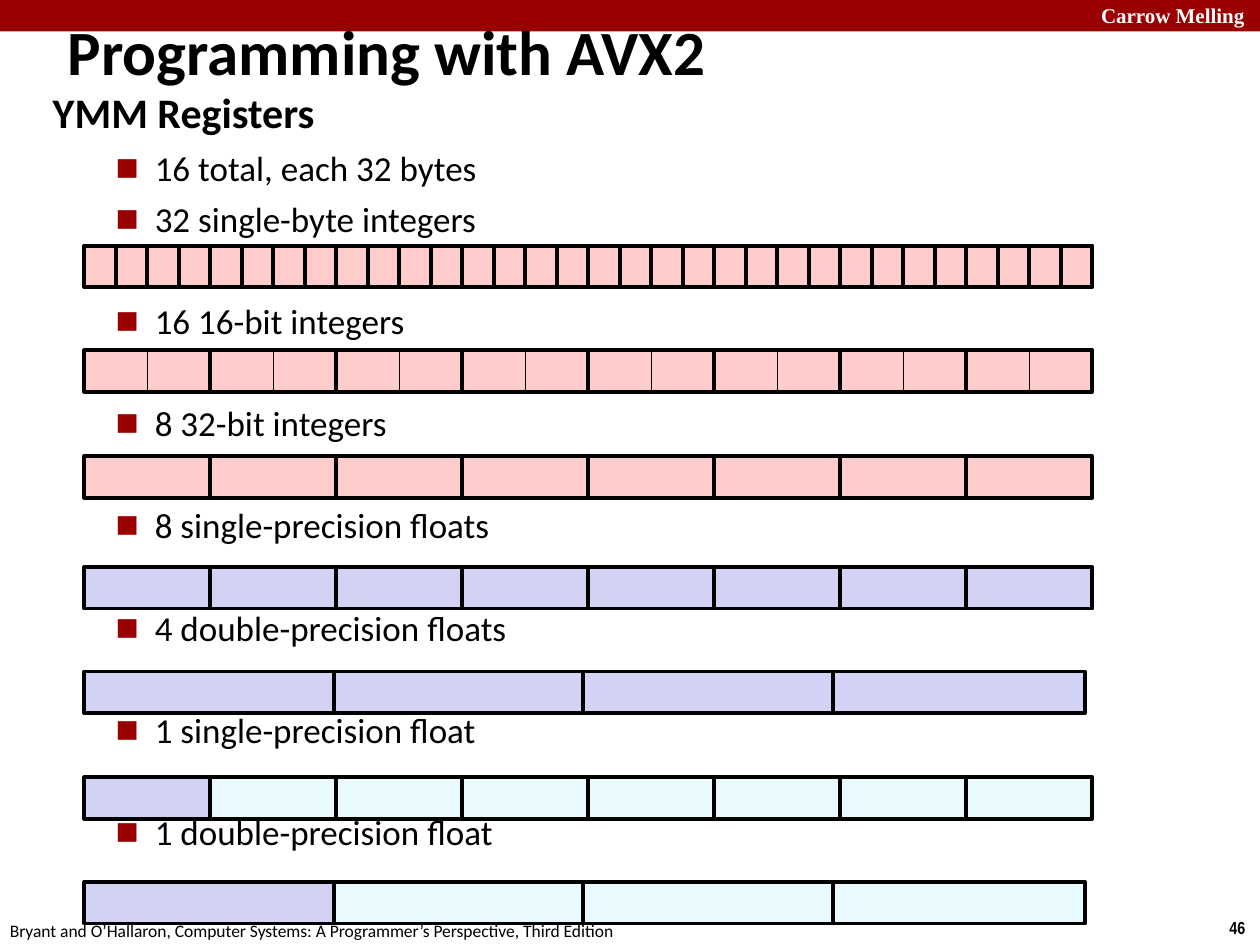
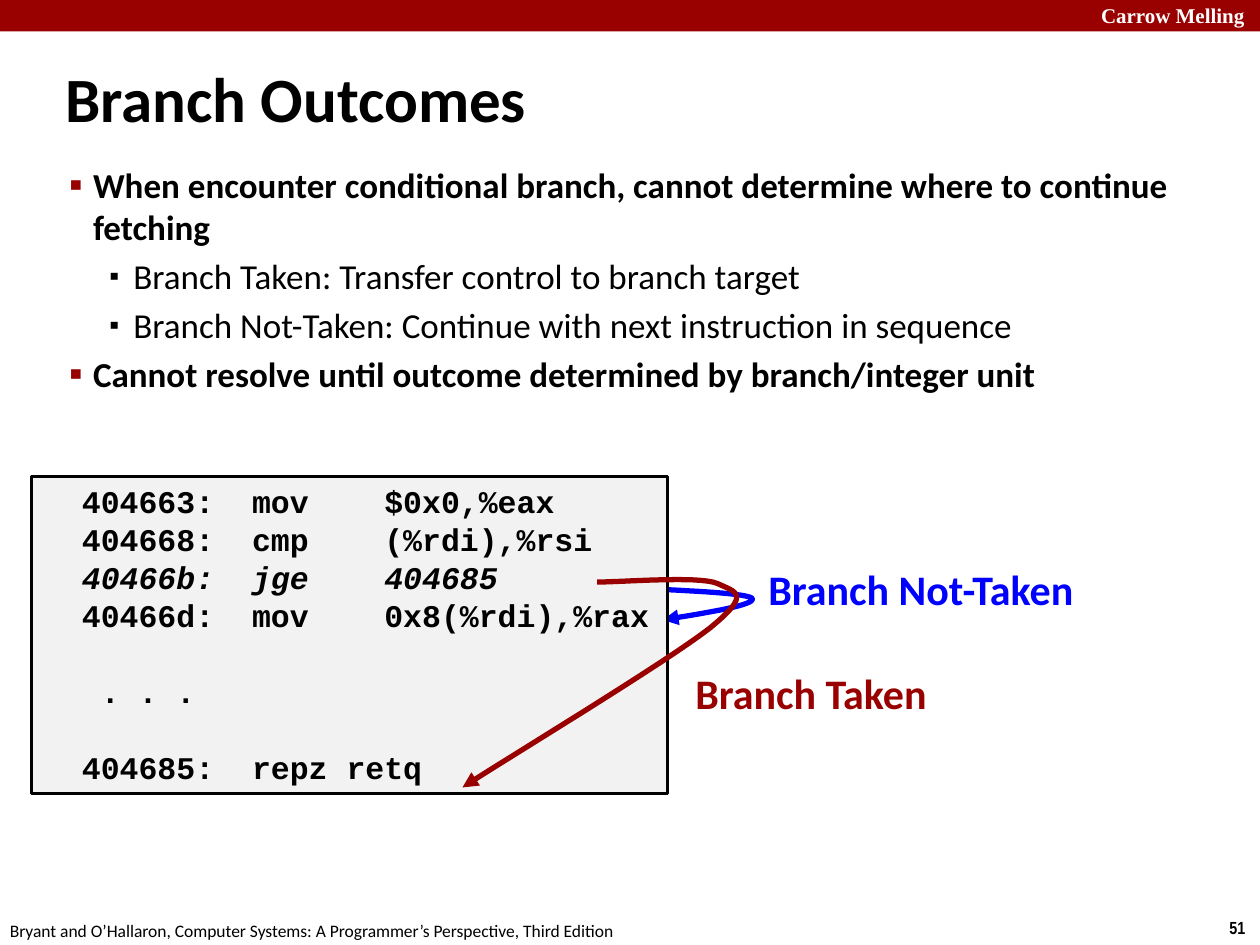
from pptx import Presentation
from pptx.dml.color import RGBColor
from pptx.enum.shapes import MSO_SHAPE
from pptx.enum.text import MSO_ANCHOR, PP_ALIGN
from pptx.oxml.ns import qn
from pptx.util import Inches, Pt
from lxml import etree

RECT = MSO_SHAPE.RECTANGLE
TOP, MIDDLE = MSO_ANCHOR.TOP, MSO_ANCHOR.MIDDLE
LEFT = PP_ALIGN.LEFT

RED, BLUE, BLACK, WHITE = "990000", "0000FF", "000000", "FFFFFF"
PINK, LILAC, PALE, GREY = "FFCCCC", "D2D2F4", "E9FAFF", "F2F2F2"
SERIF = "Times New Roman"

SCHOOL = "Carrow Melling"
FOOTER = "Bryant and O’Hallaron, Computer Systems: A Programmer’s Perspective, Third Edition"

REGISTER_HEADING = "YMM Registers"
REGISTER_BULLETS = [
    "16 total, each 32 bytes",
    "32 single-byte integers",
    "16 16-bit integers",
    "8 32-bit integers",
    "8 single-precision floats",
    "4 double-precision floats",
    "1 single-precision float",
    "1 double-precision float",
]
REGISTER_LEFT, REGISTER_HEIGHT = 0.67, 0.33
# top, lane count, lane width, lane pitch, first fill, other fill, line width
REGISTERS = [
    (1.95, 32, 0.25, 0.25, PINK, PINK, 2.25),
    (2.78, 16, 0.5, 0.5, PINK, PINK, 0.5),
    (2.78, 8, 1, 1, None, None, 2.25),
    (3.62, 8, 1, 1, PINK, PINK, 2.25),
    (4.5, 8, 1, 1, LILAC, LILAC, 2.25),
    (5.33, 4, 2, 1.98, LILAC, LILAC, 2.25),
    (6.17, 8, 1, 1, LILAC, PALE, 2.25),
    (7, 4, 2, 1.98, LILAC, PALE, 2.25),
]

BRANCH_BULLETS = [
    (1, "When encounter conditional branch, cannot determine where to continue fetching"),
    (2, "Branch Taken: Transfer control to branch target"),
    (2, "Branch Not-Taken: Continue with next instruction in sequence"),
    (1, "Cannot resolve until outcome determined by branch/integer unit"),
]
CODE = [
    "404663:\tmov\t$0x0,%eax",
    "404668:\tcmp\t(%rdi),%rsi",
    "40466b:\tjge\t404685",
    "40466d:\tmov\t0x8(%rdi),%rax",
    ". . .",
    "404685:\trepz retq",
]
JUMP_ROW, DOTS_ROW = 2, 4
CODE_PITCH = 21.7
CODE_TABS = (1.35, 2.4)
NOT_TAKEN_CURVE = [
    (5.08, 4.67),
    (5.51, 4.69), (5.94, 4.71), (5.97, 4.75),
    (6, 4.8), (5.63, 4.86), (5.26, 4.92),
]
TAKEN_CURVE = [
    (4.74, 4.62),
    (4.94, 4.62), (5.54, 4.57), (5.69, 4.63),
    (5.84, 4.7), (5.97, 4.71), (5.64, 4.98),
    (5.3, 5.25), (3.99, 6.04), (3.67, 6.25),
]


def rgb(color):
    return RGBColor.from_string(color)


def style(p, size, color=BLACK, bold=False, font="Calibri"):
    p.font.size = Pt(size)
    p.font.name = font
    p.font.bold = bold
    p.font.color.rgb = rgb(color)


def add_text(s, box, text, size, color=BLACK, bold=True, font="Calibri", wrap=True, anchor=TOP):
    tf = s.shapes.add_textbox(*map(Inches, box)).text_frame
    tf.word_wrap = wrap
    tf.vertical_anchor = anchor
    p = tf.paragraphs[0]
    p.text = text
    style(p, size, color, bold, font)
    return tf


def add_rect(s, box, fill, width=None):
    sp = s.shapes.add_shape(RECT, *map(Inches, box))
    sp.shadow.inherit = False
    if fill:
        sp.fill.solid()
        sp.fill.fore_color.rgb = rgb(fill)
    else:
        sp.fill.background()
    if width:
        sp.line.color.rgb = rgb(BLACK)
        sp.line.width = Pt(width)
    else:
        sp.line.fill.background()
    return sp


def set_bullet(p, char, margin, hang, color, percent):
    pPr = p._p.get_or_add_pPr()
    pPr.set("marL", str(Inches(margin)))
    pPr.set("indent", str(-Inches(hang)))
    clr = etree.Element(qn("a:buClr"))
    etree.SubElement(clr, qn("a:srgbClr"), val=color)
    size = etree.Element(qn("a:buSzPct"), val=str(percent * 1000))
    font = etree.Element(qn("a:buFont"), typeface=SERIF)
    mark = etree.Element(qn("a:buChar"), char=char)
    for part in (clr, size, font, mark):
        pPr.find(qn("a:defRPr")).addprevious(part)


def bezier_points(curve, steps=16):
    points = [curve[0]]
    for i in range(0, len(curve) - 1, 3):
        a, b, c, d = curve[i:i + 4]
        for k in range(1, steps + 1):
            t = k / steps
            u = 1 - t
            weights = (u ** 3, 3 * u * u * t, 3 * u * t * t, t ** 3)
            points.append(tuple(sum(w * q[axis] for w, q in zip(weights, (a, b, c, d)))
                                for axis in (0, 1)))
    return points


def add_curved_arrow(s, curve, color):
    start, *rest = [(Inches(x), Inches(y)) for x, y in bezier_points(curve)]
    builder = s.shapes.build_freeform(*start)
    builder.add_line_segments(rest, close=False)
    sp = builder.convert_to_shape()
    sp.shadow.inherit = False
    sp.fill.background()
    sp.line.color.rgb = rgb(color)
    sp.line.width = Pt(3)
    ln = sp._element.spPr.find(qn("a:ln"))
    etree.SubElement(ln, qn("a:tailEnd"), type="triangle")


def new_slide(prs, title, title_box, number):
    s = prs.slides.add_slide(prs.slide_layouts[6])
    add_rect(s, (0, 0, 10, 0.25), RED)
    add_text(s, (8.64, -0.03, 1.43, 0.3), SCHOOL, 12, WHITE, font=SERIF)
    add_text(s, (9.66, 7.23, 0.34, 0.27), number, 10, font="Arial Narrow", wrap=False)
    add_text(s, (-0.02, 7.25, 5.08, 0.27), FOOTER, 10, bold=False, wrap=False)
    add_text(s, title_box, title, 36, anchor=MIDDLE)
    return s


def build_registers(prs):
    s = new_slide(prs, "Programming with AVX2", (0.44, -0.03, 9.53, 0.85), "46")
    tf = add_text(s, (0.32, 0.62, 9.09, 6.72), REGISTER_HEADING, 24)
    tf.paragraphs[0].line_spacing = 1.05
    tf.paragraphs[0].space_before = Pt(4.8)
    for i, text in enumerate(REGISTER_BULLETS):
        p = tf.add_paragraph()
        p.text = text
        p.line_spacing = 1.05
        p.space_before = Pt(4 if i < 2 else 33.2)
        style(p, 20)
        set_bullet(p, "■", 0.81, 0.31, RED, 110)
    for top, count, width, pitch, first, other, line in REGISTERS:
        for i in range(count):
            box = (REGISTER_LEFT + i * pitch, top, width, REGISTER_HEIGHT)
            add_rect(s, box, other if i else first, line)


def add_code(s):
    tf = add_rect(s, (0.25, 3.78, 5.05, 2.52), GREY, 1.5).text_frame
    tf.word_wrap = False
    tf.vertical_anchor = TOP
    tf.margin_left = Inches(0.4)
    tf.margin_top = Inches(0.04)
    for i, text in enumerate(CODE):
        p = tf.add_paragraph() if i else tf.paragraphs[0]
        p.text = text
        p.alignment = LEFT
        p.line_spacing = Pt(CODE_PITCH)
        p.space_before = Pt(CODE_PITCH if i >= DOTS_ROW else 0)
        style(p, 18, bold=True, font="Courier New")
        p.font.italic = i == JUMP_ROW
        pPr = p._p.get_or_add_pPr()
        if i == DOTS_ROW:
            pPr.set("marL", str(Inches(0.15)))
        tabs = etree.Element(qn("a:tabLst"))
        for stop in CODE_TABS:
            etree.SubElement(tabs, qn("a:tab"), pos=str(Inches(stop)), algn="l")
        pPr.find(qn("a:defRPr")).addprevious(tabs)


def build_branches(prs):
    s = new_slide(prs, "Branch Outcomes", (0.42, 0.46, 6.49, 0.63), "51")
    tf = s.shapes.add_textbox(*map(Inches, (0.33, 1.25, 9.58, 2))).text_frame
    tf.word_wrap = True
    for i, (level, text) in enumerate(BRANCH_BULLETS):
        p = tf.add_paragraph() if i else tf.paragraphs[0]
        p.text = text
        p.space_before = Pt(4)
        top_level = level == 1
        style(p, 20, bold=top_level)
        if top_level:
            set_bullet(p, "▪", 0.31, 0.19, RED, 110)
        else:
            set_bullet(p, "▪", 0.63, 0.19, BLACK, 80)
    add_text(s, (5.42, 5.25, 2.06, 0.5), "Branch Taken", 24, RED, wrap=False)
    add_curved_arrow(s, NOT_TAKEN_CURVE, BLUE)
    add_text(s, (6, 4.42, 2.72, 0.5), "Branch Not-Taken", 24, BLUE, wrap=False)
    add_code(s)
    add_curved_arrow(s, TAKEN_CURVE, RED)


def main():
    prs = Presentation()
    prs.slide_width, prs.slide_height = Inches(10), Inches(7.5)
    build_registers(prs)
    build_branches(prs)
    prs.save("out.pptx")


if __name__ == "__main__":
    main()
